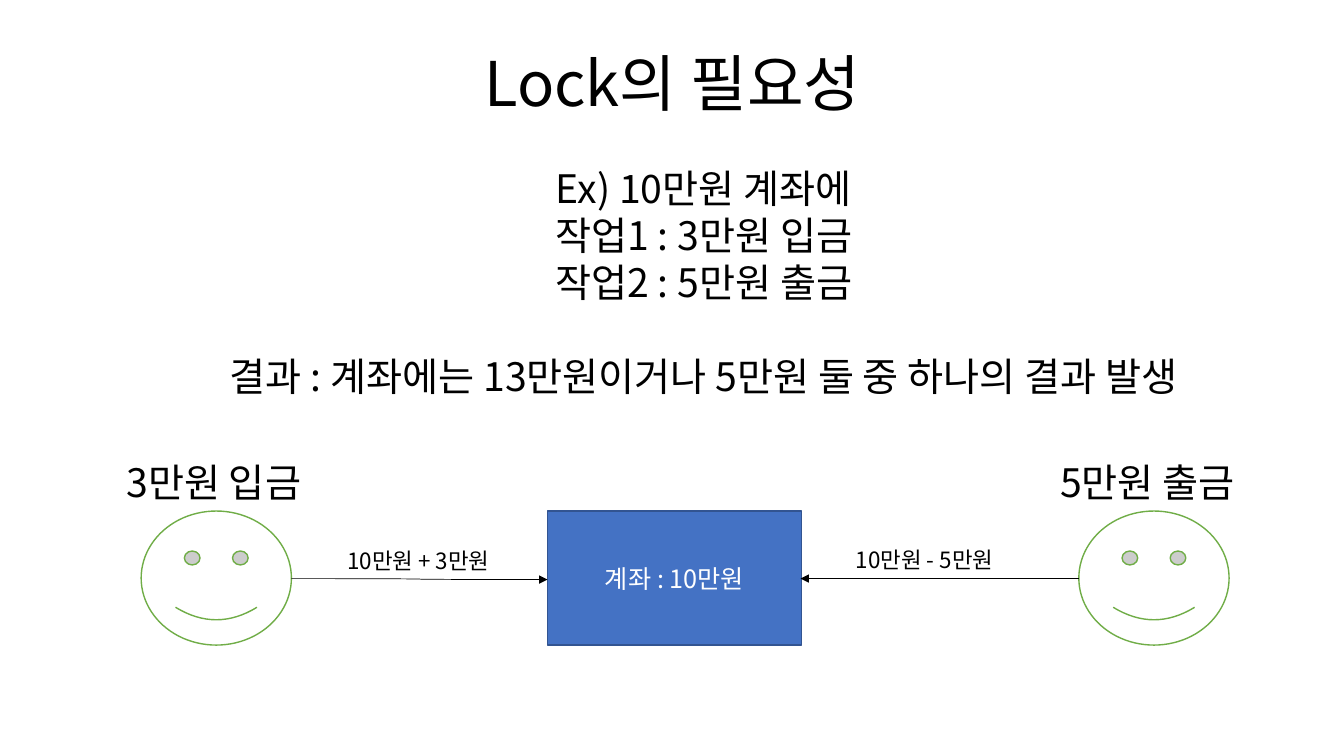
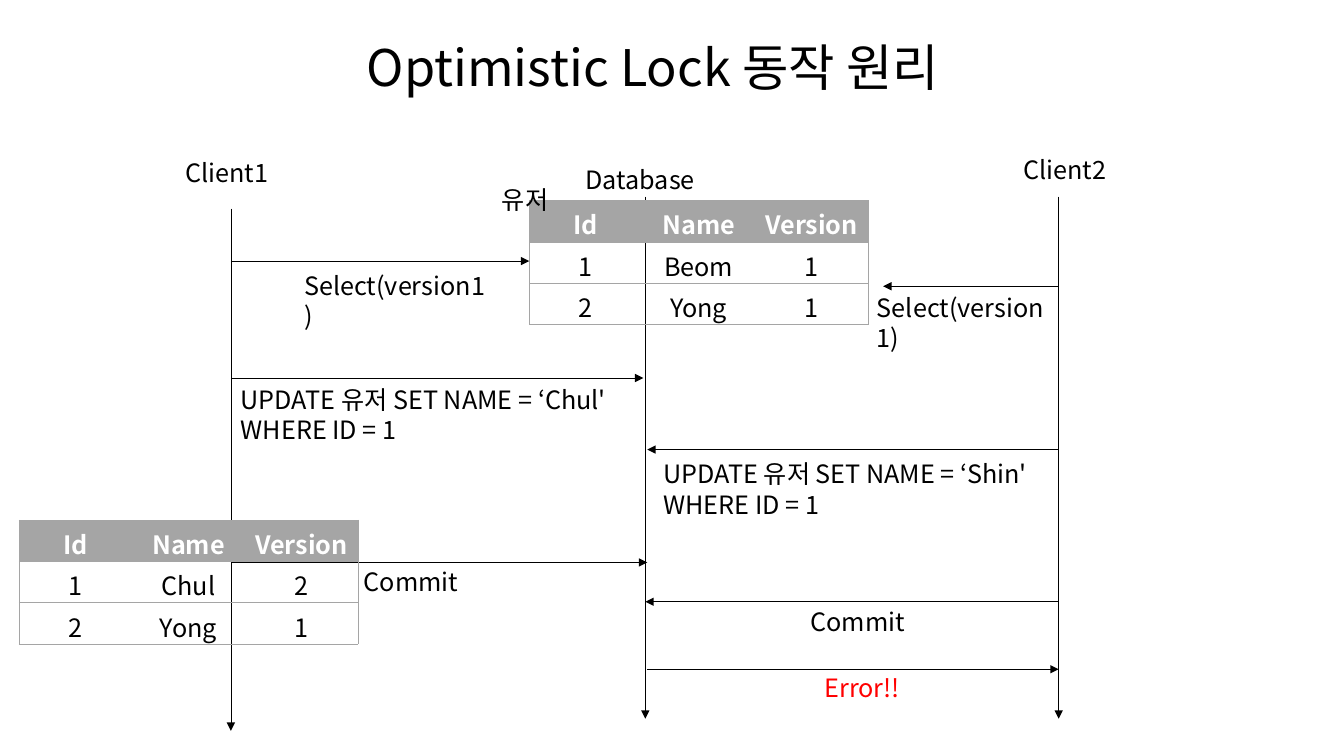
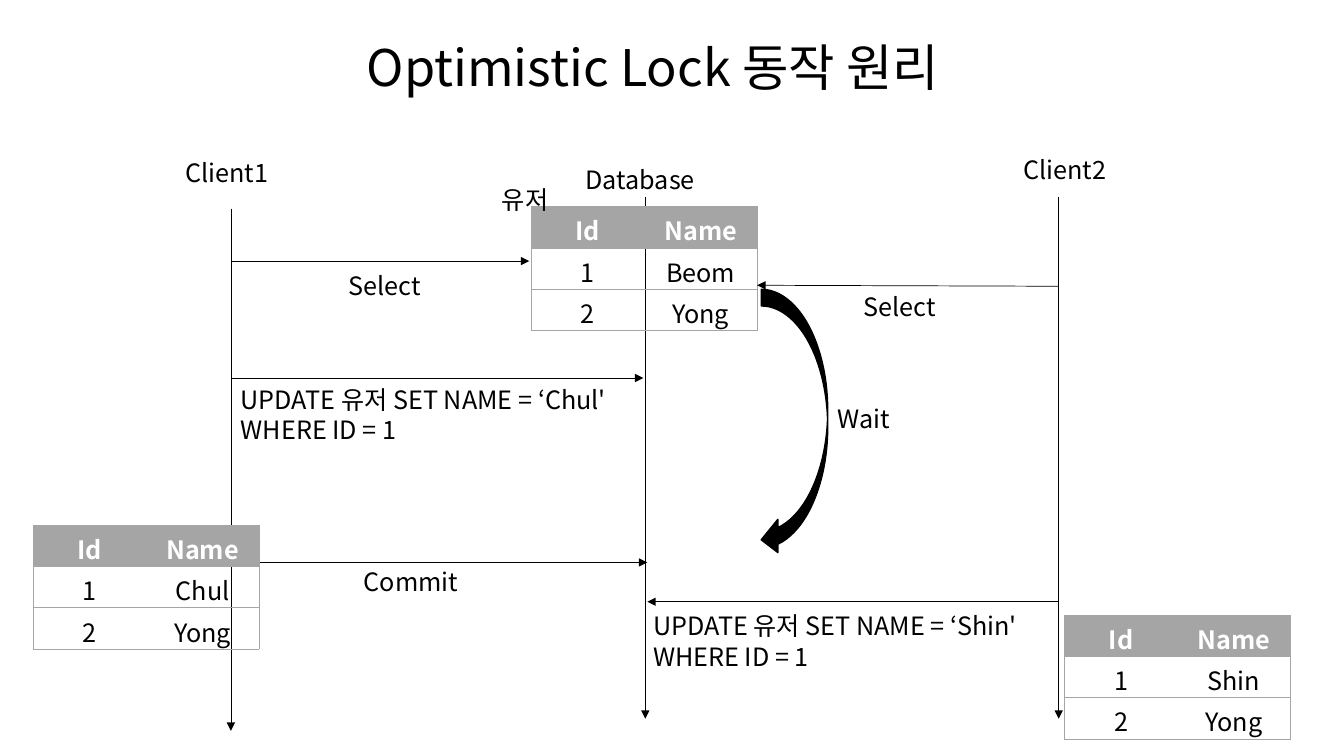
from lxml import etree
from pptx import Presentation
from pptx.dml.color import RGBColor
from pptx.enum import shapes, text
from pptx.oxml.ns import qn
from pptx import util as u

PX = 9144  # one hundredth of an inch, in EMU
FONT = "Noto Sans CJK KR"
BLACK = RGBColor(0x00, 0x00, 0x00)
WHITE = RGBColor(0xFF, 0xFF, 0xFF)
GREEN = RGBColor(0x70, 0xAD, 0x47)
BLUE = RGBColor(0x44, 0x72, 0xC4)
DARK_BLUE = RGBColor(0x32, 0x54, 0x91)
GRAY = RGBColor(0xA5, 0xA5, 0xA5)
RED = RGBColor(0xFF, 0x00, 0x00)
CENTER = text.PP_ALIGN.CENTER
LEFT = text.PP_ALIGN.LEFT

# Sequence diagram: lifelines and table grid
CLIENT1, DATABASE, CLIENT2 = 229, 640, 1050
LIFELINE = 518
COLUMN, ROW = 112, 41


def px(*lengths):
    return [u.Emu(length * PX) for length in lengths]


def apply(target, values):
    for name, value in values.items():
        setattr(target, name, value)


def write(frame, lines, size, color=BLACK, align=LEFT, bold=False, **para_format):
    """Fill a text frame with one paragraph per line."""
    for index, line in enumerate(lines):
        para = frame.add_paragraph() if index else frame.paragraphs[0]
        apply(para, {"alignment": align, **para_format})
        span = para.add_run()
        span.text = line
        apply(span.font, {"name": FONT, "size": u.Pt(size), "bold": bold})
        span.font.color.rgb = color


def add_titled_page(deck, title, area, size):
    page = deck.slides.add_slide(deck.slide_layouts[5])
    holder = page.shapes.title
    apply(holder, dict(zip(("left", "top", "width", "height"), px(*area))))
    apply(holder.text_frame, {"word_wrap": True,
                              "auto_size": text.MSO_AUTO_SIZE.NONE,
                              "vertical_anchor": text.MSO_ANCHOR.MIDDLE})
    write(holder.text_frame, [title], size, align=CENTER, line_spacing=0.9)
    return page


def add_label(page, line, left, top, width=137, height=40, size=18, **style):
    box = page.shapes.add_textbox(*px(left, top, width, height))
    box.text_frame.word_wrap = True
    lines = [line] if isinstance(line, str) else line
    write(box.text_frame, lines, size, **style)
    return box


def add_figure(page, kind, area, fill, line):
    figure = page.shapes.add_shape(kind, *px(*area))
    figure.shadow.inherit = False
    figure.fill.solid()
    figure.fill.fore_color.rgb = fill
    figure.line.color.rgb = line
    figure.line.width = u.Pt(1)
    return figure


def add_arrow(page, x1, y1, x2, y2, kind=shapes.MSO_CONNECTOR.STRAIGHT):
    arrow = page.shapes.add_connector(kind, *px(x1, y1, x2, y2))
    arrow.line.color.rgb = BLACK
    arrow.line.width = u.Pt(0.5)
    properties = arrow.element.spPr
    etree.SubElement(properties.find(qn("a:ln")), qn("a:tailEnd"), type="triangle")
    etree.SubElement(properties, qn("a:effectLst"))


def set_borders(cell_element, visible):
    """Draw the visible sides in gray and clear the others."""
    properties = cell_element.get_or_add_tcPr()
    for index, side in enumerate("LRTB"):
        border = etree.Element(qn(f"a:ln{side}"), w=str(u.Pt(0.5)))
        if side in visible:
            fill = etree.SubElement(border, qn("a:solidFill"))
            etree.SubElement(fill, qn("a:srgbClr"), val=str(GRAY))
        else:
            etree.SubElement(border, qn("a:noFill"))
        properties.insert(index, border)


def add_user_table(page, left, top, records):
    rows = [("Id", "Name", "Version")[:len(records[0])], *records]
    count = len(rows[0])
    frame = page.shapes.add_table(
        len(rows), count, *px(left, top, COLUMN * count, ROW * len(rows)))
    table = frame.table
    apply(table, {"first_row": False, "horz_banding": False})
    for row in table.rows:
        row.height = u.Emu(ROW * PX)
    for r, values in enumerate(rows):
        for c, value in enumerate(values):
            cell = table.cell(r, c)
            if r == 0:
                cell.fill.solid()
                cell.fill.fore_color.rgb = GRAY
            else:
                cell.fill.background()
            write(cell.text_frame, [value], 18, BLACK if r else WHITE,
                  CENTER, bold=r == 0)
    for index, element in enumerate(frame.element.iter(qn("a:tc"))):
        column = index % count
        set_borders(element, "TB" + "L" * (column == 0) + "R" * (column == count - 1))


def add_update(page, name, left, top):
    add_label(page, f"UPDATE 유저 SET NAME = ‘{name}' WHERE ID = 1", left, top, 413, 71)


def add_sequence_page(deck, left, top, records):
    """Title, lifelines, database table and the messages of Client1."""
    page = add_titled_page(deck, "Optimistic Lock 동작 원리", (87, 19, 1121, 101), 36)
    for x, y in ((CLIENT1, 207), (DATABASE, 195), (CLIENT2, 195)):
        add_arrow(page, x, y, x, y + LIFELINE)
    for name, x, y in (("Database", 571, 158), ("Client2", 1005, 148),
                       ("Client1", 174, 151)):
        add_label(page, name, x, y)
    add_user_table(page, left, top, records)
    add_label(page, "유저", 488, 178)
    for y, end in ((259, 525), (375, 638), (558, 642)):
        add_arrow(page, CLIENT1, y, end, y)
    add_update(page, "Chul", CLIENT1, 376)
    add_label(page, "Commit", 351, 557)
    return page


def build_need_page(deck):
    page = add_titled_page(deck, "Lock의 필요성", (92, 13, 1150, 145), 44)

    # Example and its result
    example = add_label(page, [
        "Ex) 10만원 계좌에", "작업1 : 3만원 입금", "작업2 : 5만원 출금",
        "결과 : 계좌에는 13만원이거나 5만원 둘 중 하나의 결과 발생",
    ], 140, 158, 1116, 246, 28, align=CENTER)
    example.text_frame.paragraphs[-1].space_before = u.Pt(33.6)

    # Two people and the account between them
    for x in (140, 1070):
        add_figure(page, shapes.MSO_SHAPE.SMILEY_FACE, (x, 507, 149, 133), WHITE, GREEN)
    account = add_figure(page, shapes.MSO_SHAPE.RECTANGLE, (543, 507, 252, 133),
                         BLUE, DARK_BLUE)
    account.text_frame.vertical_anchor = text.MSO_ANCHOR.MIDDLE
    write(account.text_frame, ["계좌 : 10만원"], 18, WHITE, CENTER)
    for line, x, y, height, size in (
            ("3만원 입금", 86, 450, 57, 28), ("5만원 출금", 1012, 450, 57, 28),
            ("10만원 + 3만원", 289, 538, 37, 16), ("10만원 - 5만원", 791, 537, 37, 16)):
        add_label(page, line, x, y, 252, height, size, align=CENTER)
    add_arrow(page, 289, 574, 543, 575, shapes.MSO_CONNECTOR.CURVE)
    add_arrow(page, 1070, 574, 794, 574)


def build_version_page(deck):
    page = add_sequence_page(deck, 525, 199, [("1", "Beom", "1"), ("2", "Yong", "1")])
    add_user_table(page, 19, 516, [("1", "Chul", "2"), ("2", "Yong", "1")])

    # Messages of Client2
    for y, end in ((284, 876), (446, 642), (597, DATABASE)):
        add_arrow(page, CLIENT2, y, end, y)
    add_arrow(page, 642, 664, CLIENT2, 664)
    add_label(page, "Select(version1)", 292, 263, 205)
    add_label(page, "Select(version1)", 860, 285, 190)
    add_update(page, "Shin", 648, 450)
    add_label(page, "Commit", 794, 597)
    add_label(page, "Error!!", 808, 662, color=RED)


def build_wait_page(deck):
    page = add_sequence_page(deck, 527, 205, [("1", "Beom"), ("2", "Yong")])
    add_user_table(page, 33, 521, [("1", "Chul"), ("2", "Yong")])

    # Messages of Client2
    add_arrow(page, CLIENT2, 284, 751, 283)
    add_arrow(page, CLIENT2, 597, 642, 597)
    add_label(page, "Select", 336, 263, 205)
    add_label(page, "Select", 847, 284, 190)
    add_update(page, "Shin", 638, 601)

    # Waiting for the commit
    add_figure(page, shapes.MSO_SHAPE.CURVED_LEFT_ARROW, (755, 287, 66, 265), BLACK, BLACK)
    add_label(page, "Wait", 821, 395, 190)
    add_user_table(page, 1056, 610, [("1", "Shin"), ("2", "Yong")])


def set_korean_font(deck):
    """Give every run the same font for Korean letters."""
    for page in deck.slides:
        for properties in page.element.iter(qn("a:rPr")):
            etree.SubElement(properties, qn("a:ea"), typeface=FONT)


def main():
    deck = Presentation()
    deck.slide_width, deck.slide_height = px(1333, 750)
    build_need_page(deck)
    build_version_page(deck)
    build_wait_page(deck)
    set_korean_font(deck)
    deck.save("out.pptx")


if __name__ == "__main__":
    main()
